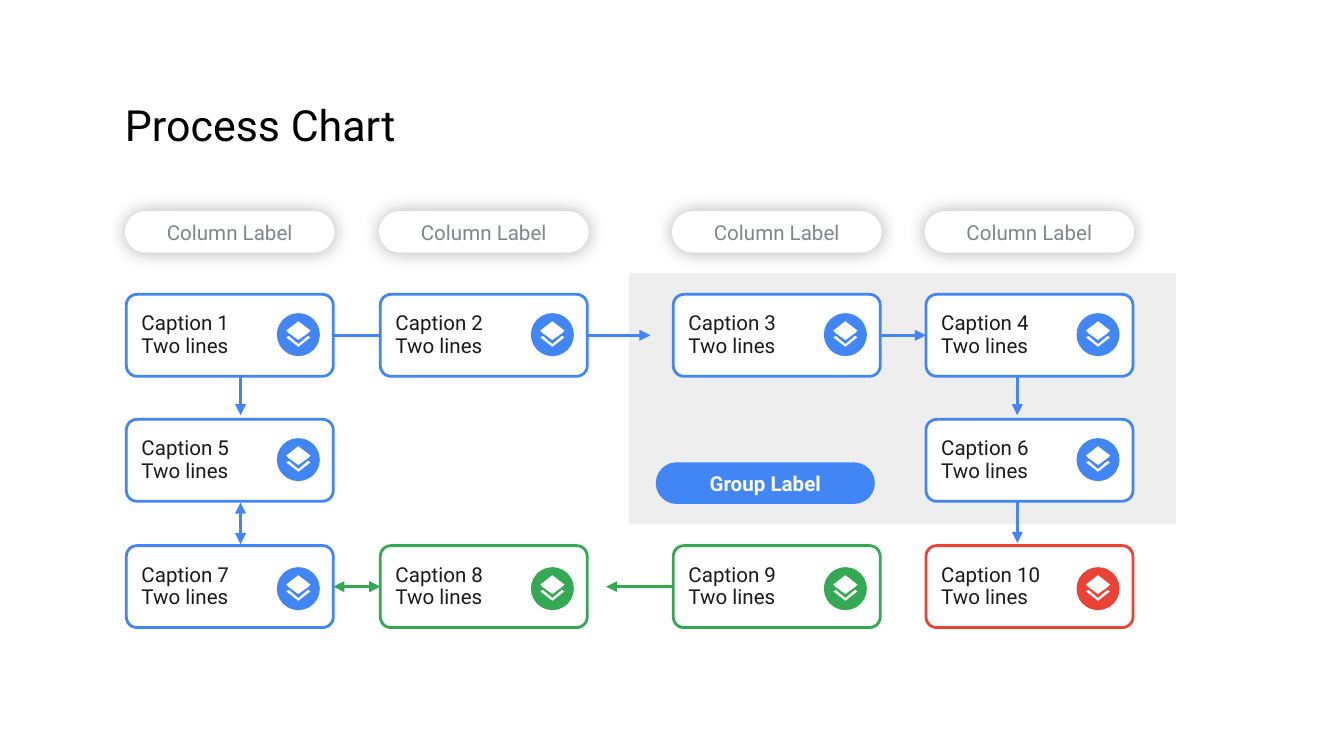
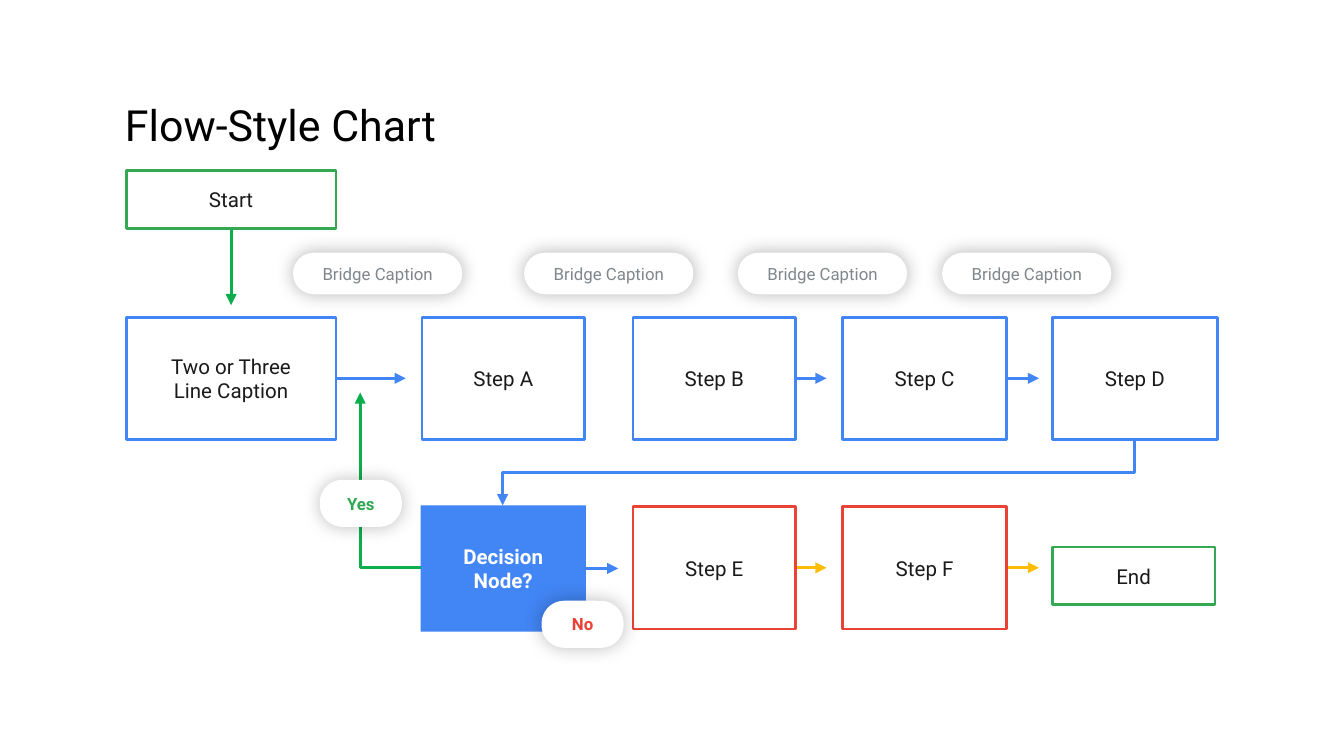
from dataclasses import dataclass

from lxml import etree
from pptx import Presentation
from pptx.dml.color import RGBColor
from pptx.enum.shapes import MSO_CONNECTOR, MSO_SHAPE
from pptx.enum.text import MSO_ANCHOR, PP_ALIGN
from pptx.oxml.ns import qn
from pptx.util import Pt

STRAIGHT, ELBOW = MSO_CONNECTOR.STRAIGHT, MSO_CONNECTOR.ELBOW
ROUNDED, OVAL = MSO_SHAPE.ROUNDED_RECTANGLE, MSO_SHAPE.OVAL
LEFT, CENTER = PP_ALIGN.LEFT, PP_ALIGN.CENTER
MIDDLE, BOTTOM = MSO_ANCHOR.MIDDLE, MSO_ANCHOR.BOTTOM
SIDE_BOTTOM, SIDE_LEFT, SIDE_RIGHT = 2, 1, 3
DIRECTIONS = {SIDE_BOTTOM: (0, 1), SIDE_LEFT: (-1, 0), SIDE_RIGHT: (1, 0)}
PX = 9144  # 100 px to the inch


@dataclass(frozen=True)
class Theme:
    font: str = "Roboto"
    title: int = 23
    body: int = 11
    small: int = 9
    stroke: float = 1.5
    black: str = "000000"
    ink: str = "1A1A1A"
    gray: str = "80868B"
    panel: str = "EEEEEE"
    white: str = "FFFFFF"
    blue: str = "4285F4"
    green: str = "34A853"
    arrow_green: str = "0CAD4D"
    yes_green: str = "31A853"
    red: str = "EA4335"
    no_red: str = "E94235"
    yellow: str = "FFBC04"


THEME = Theme()

# Process chart content
PROCESS_TITLE = "Process Chart"
COLUMN_LABEL = "Column Label"
GROUP_LABEL = "Group Label"
COLUMNS = (94, 283, 501, 689)
ROWS = ((219, 233), (312, 326), (406, 422))  # box top, icon top
CAPTIONS = (  # number, column, row, colour
    (1, 0, 0, THEME.blue), (2, 1, 0, THEME.blue),
    (3, 2, 0, THEME.blue), (4, 3, 0, THEME.blue),
    (5, 0, 1, THEME.blue), (6, 3, 1, THEME.blue),
    (7, 0, 2, THEME.blue), (8, 1, 2, THEME.green),
    (9, 2, 2, THEME.green), (10, 3, 2, THEME.red),
)
PROCESS_LINKS = (  # from, side, length or (to, side), colour, two-headed
    (1, SIDE_RIGHT, 54, THEME.blue, False),
    (2, SIDE_RIGHT, 47, THEME.blue, False),
    (3, SIDE_RIGHT, (4, SIDE_LEFT), THEME.blue, False),
    (7, SIDE_RIGHT, (8, SIDE_LEFT), THEME.green, True),
    (9, SIDE_LEFT, 50, THEME.green, False),
)
DROPS = (  # x, from y, to y, two-headed
    (179, 231, 309, False), (757, 231, 309, False),
    (757, 327, 404, False), (179, 405, 374, True),
)
CHEVRONS = (  # outlines inside the icon disc
    ((16, 23), (23, 17), (25, 18), (16, 25), (7, 18), (9, 17)),
    ((16, 20), (9, 15), (7, 13), (16, 6), (25, 13), (23, 15)),
)

# Flow chart content
FLOW_TITLE = "Flow-Style Chart"
BRIDGE_LABEL = "Bridge Caption"
BRIDGES = (218, 390, 549, 701)
STEPS = {  # lines: place, outline
    ("Start",): ((94, 127, 156, 43), THEME.green),
    ("Two or Three", "Line Caption"): ((94, 236, 156, 91), THEME.blue),
    ("Step A",): ((314, 236, 121, 91), THEME.blue),
    ("Step B",): ((471, 236, 121, 91), THEME.blue),
    ("Step C",): ((627, 236, 122, 91), THEME.blue),
    ("Step D",): ((783, 236, 123, 91), THEME.blue),
    ("Decision", "Node?"): ((313, 376, 123, 94), None),
    ("Step E",): ((471, 377, 121, 91), THEME.red),
    ("Step F",): ((627, 377, 122, 91), THEME.red),
    ("End",): ((783, 407, 121, 43), THEME.green),
}
FLOW_LINKS = (
    ("Start", SIDE_BOTTOM, 57, THEME.arrow_green, False),
    ("Two or Three", SIDE_RIGHT, 52, THEME.blue, False),
    ("Step B", SIDE_RIGHT, 23, THEME.blue, False),
    ("Step C", SIDE_RIGHT, 24, THEME.blue, False),
    ("Decision", SIDE_RIGHT, 24, THEME.blue, False),
    ("Step E", SIDE_RIGHT, 23, THEME.yellow, False),
    ("Step F", SIDE_RIGHT, 24, THEME.yellow, False),
)
RETURN_START, RETURN_END = (844, 327), (374, 376)
YES_PATH = ((268, 292), (268, 422), (313, 422))
ANSWERS = (("Yes", 238, 357, THEME.yes_green), ("No", 403, 447, THEME.no_red))


def scaled(*lengths):
    return [round(length * PX) for length in lengths]


def apply_format(target, values):
    for name, value in values.items():
        setattr(target, name, value)


def write(box, lines, size, color, bold=False, align=CENTER, anchor=MIDDLE,
          inset=0, spacing=None):
    frame = box.text_frame
    margins = dict.fromkeys(
        ("margin_left", "margin_top", "margin_right", "margin_bottom"), inset * PX)
    apply_format(frame, {"word_wrap": True, "vertical_anchor": anchor, **margins})
    para = frame.paragraphs[0]
    apply_format(para, {"alignment": align, "line_spacing": spacing})
    for index, line in enumerate(lines):
        if index:
            para.add_line_break()
        span = para.add_run()
        span.text = line
        apply_format(span.font, {"name": THEME.font, "size": Pt(size), "bold": bold})
        span.font.color.rgb = RGBColor.from_string(color)


def paint(shape, fill=None, outline=None):
    shape.shadow.inherit = False
    if fill:
        shape.fill.solid()
        shape.fill.fore_color.rgb = RGBColor.from_string(fill)
    else:
        shape.fill.background()
    if outline:
        stroke(shape, outline)
    else:
        shape.line.fill.background()


def stroke(shape, color):
    shape.line.color.rgb = RGBColor.from_string(color)
    shape.line.width = Pt(THEME.stroke)


def add_heads(shape, *ends):
    line = shape._element.spPr.get_or_add_ln()
    for end in ends:
        etree.SubElement(line, qn(f"a:{end}"), type="triangle")


def add_box(page, place, fill, outline=None, corner=0):
    box = page.shapes.add_shape(ROUNDED, *scaled(*place))
    box.adjustments[0] = corner
    paint(box, fill, outline)
    return box


def add_pill(page, place, text, size, color, bold=False, corner=0.5, opacity=30):
    """White pill with a soft glow of shadow around it."""
    pill = add_box(page, place, THEME.white, corner=corner)
    effects = pill._element.spPr.find(qn("a:effectLst"))
    shadow = etree.SubElement(effects, qn("a:outerShdw"), blurRad=str(Pt(10)),
                              dist="0", algn="ctr", rotWithShape="0")
    tint = etree.SubElement(shadow, qn("a:srgbClr"), val=THEME.black)
    etree.SubElement(tint, qn("a:alpha"), val=str(opacity * 1000))
    write(pill, [text], size, color, bold)


def add_arrow(page, kind, start, end, color, both=False):
    arrow = page.shapes.add_connector(kind, *scaled(*start, *end))
    stroke(arrow, color)
    add_heads(arrow, *(["headEnd"] if both else []), "tailEnd")
    etree.SubElement(arrow._element.spPr, qn("a:effectLst"))
    return arrow


def send_back(page, shape, level=0):
    page.shapes._spTree.insert(2 + level, shape._element)


def add_links(page, boxes, links, level=0):
    """Arrows that leave a side's middle, drawn behind the boxes."""
    for source, side, target, color, both in links:
        arrow = add_arrow(page, STRAIGHT, (0, 0), (0, 0), color, both)
        arrow.begin_connect(boxes[source], side)
        if isinstance(target, tuple):
            arrow.end_connect(boxes[target[0]], target[1])
        else:
            across, down = DIRECTIONS[side]
            arrow.end_x = arrow.begin_x + across * target * PX
            arrow.end_y = arrow.begin_y + down * target * PX
        send_back(page, arrow, level)


def add_icon(page, left, top, color):
    disc = page.shapes.add_shape(OVAL, *scaled(left, top, 32, 32))
    paint(disc, color)
    outlines = [[(left + x, top + y) for x, y in points] for points in CHEVRONS]
    builder = page.shapes.build_freeform(*outlines[0][0], scale=PX)
    builder.add_line_segments(outlines[0][1:], close=True)
    builder.move_to(*outlines[1][0])
    builder.add_line_segments(outlines[1][1:], close=True)
    paint(builder.convert_to_shape(), THEME.white)


def add_page(deck, title):
    page = deck.slides.add_slide(deck.slide_layouts[6])
    box = page.shapes.add_textbox(*scaled(93, 72, 416, 40))
    write(box, [title], THEME.title, THEME.black, align=LEFT, anchor=BOTTOM)
    return page


def build_process(deck):
    page = add_page(deck, PROCESS_TITLE)
    send_back(page, add_box(page, (468, 203, 407, 187), THEME.panel))

    # Captioned boxes and their icons
    boxes = {}
    for number, column, row, color in CAPTIONS:
        left, (top, icon_top) = COLUMNS[column], ROWS[row]
        box = add_box(page, (left, top, 154, 61), THEME.white, color, 0.13)
        write(box, [f"Caption {number}", "Two lines"], THEME.body, THEME.ink,
              align=LEFT, inset=9, spacing=0.9)
        add_icon(page, left + 112, icon_top, color)
        boxes[number] = box

    # Arrows above the panel, below the boxes
    add_links(page, boxes, PROCESS_LINKS, level=1)
    for x, start, end, both in DROPS:
        drop = add_arrow(page, STRAIGHT, (x, start), (x, end), THEME.blue, both)
        send_back(page, drop, level=1)

    # Labels
    for left in COLUMNS:
        add_pill(page, (left - 1, 157, 156, 31), COLUMN_LABEL, THEME.body, THEME.gray)
    group = add_box(page, (488, 344, 163, 31), THEME.blue, corner=0.5)
    write(group, [GROUP_LABEL], THEME.body, THEME.white, bold=True)


def build_flow(deck):
    page = add_page(deck, FLOW_TITLE)

    # Steps; the one without an outline is the solid decision
    boxes = {}
    for lines, (place, outline) in STEPS.items():
        box = add_box(page, place, THEME.white if outline else THEME.blue, outline)
        write(box, lines, THEME.body, THEME.ink if outline else THEME.white,
              bold=not outline)
        boxes[lines[0]] = box
    add_links(page, boxes, FLOW_LINKS)

    # Return elbow: laid out sideways, then turned a quarter about its centre
    (x1, y1), (x2, y2) = RETURN_START, RETURN_END
    middle_x, middle_y = (x1 + x2) / 2, (y1 + y2) / 2
    reach, drop = (x1 - x2) / 2, (y2 - y1) / 2
    elbow = add_arrow(page, ELBOW, (middle_x - drop, middle_y - reach),
                      (middle_x + drop, middle_y + reach), THEME.blue)
    elbow._element.spPr.get_or_add_xfrm().set("rot", str(90 * 60000))

    # Yes branch
    builder = page.shapes.build_freeform(*YES_PATH[0], scale=PX)
    builder.add_line_segments(YES_PATH[1:], close=False)
    branch = builder.convert_to_shape()
    paint(branch, outline=THEME.arrow_green)
    add_heads(branch, "headEnd")

    # Pills
    for text, left, top, color in ANSWERS:
        add_pill(page, (left, top, 61, 35), text, THEME.small, color,
                 bold=True, corner=0.48, opacity=25)
    for left in BRIDGES:
        add_pill(page, (left, 188, 126, 31), BRIDGE_LABEL, THEME.small, THEME.gray)


def main():
    deck = Presentation()
    deck.slide_width = 1000 * PX
    deck.slide_height = deck.slide_width * 9 // 16
    build_process(deck)
    build_flow(deck)
    deck.save("out.pptx")


if __name__ == "__main__":
    main()
